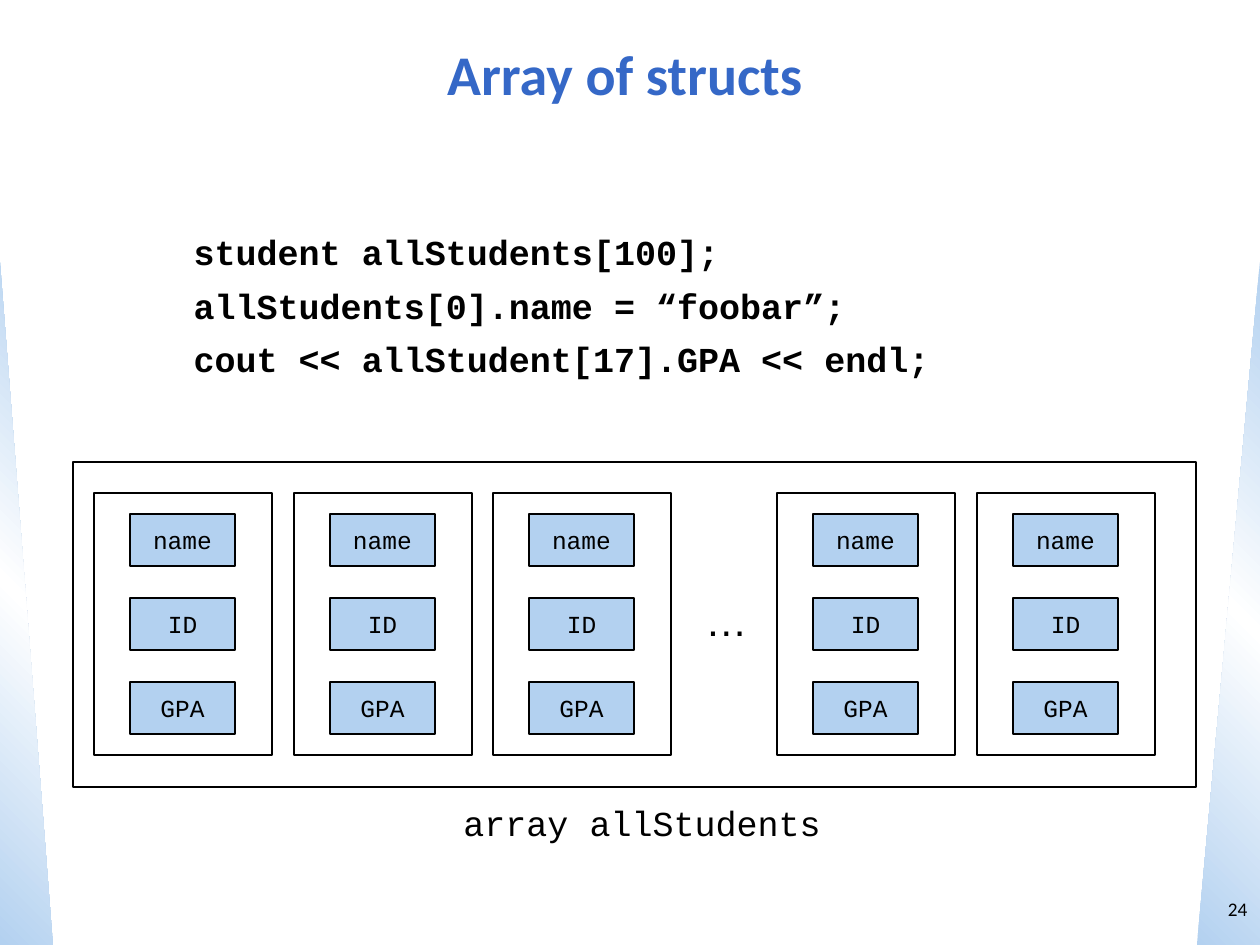
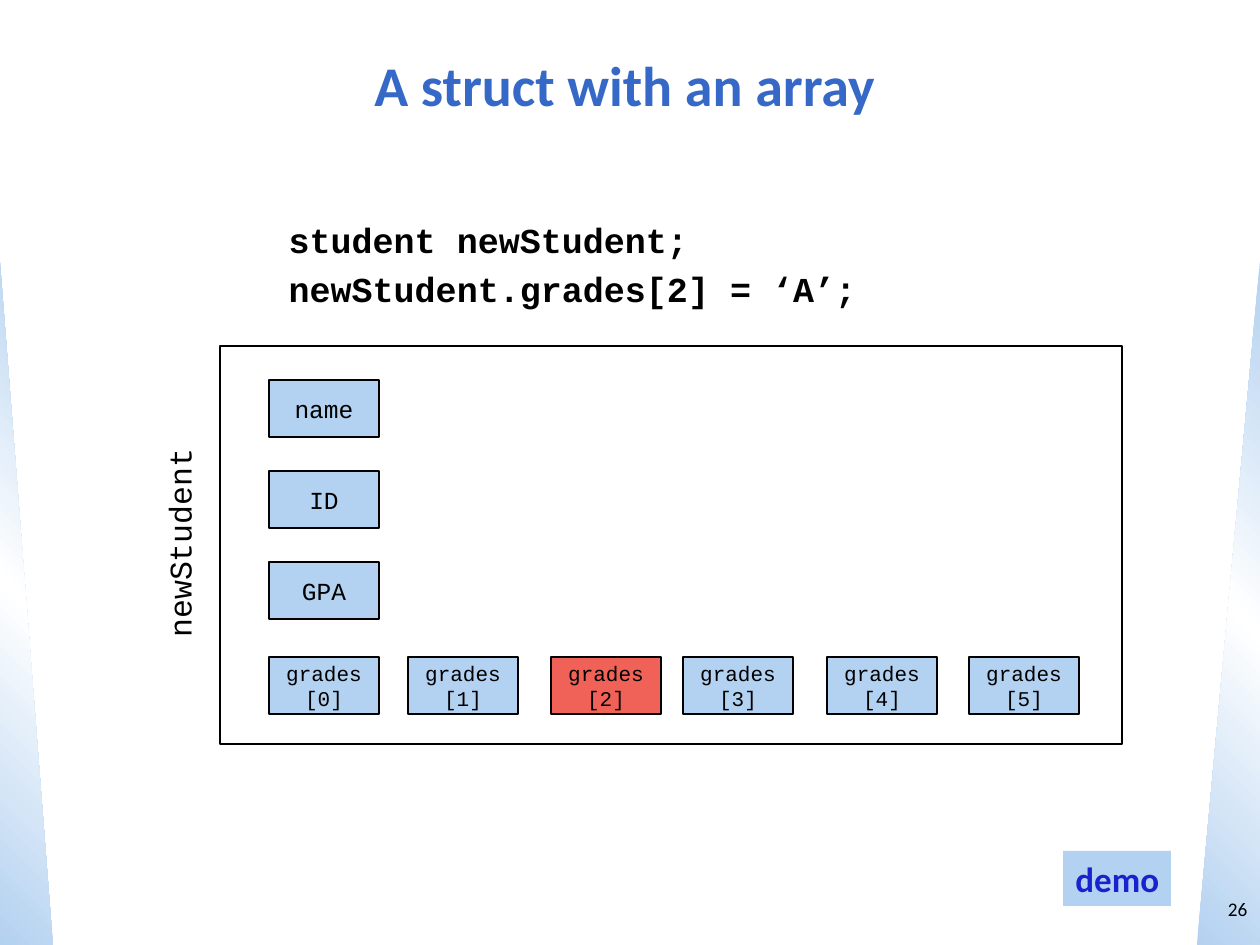
from lxml import etree
from pptx import Presentation
from pptx.dml.color import RGBColor
from pptx.enum.shapes import MSO_SHAPE
from pptx.enum.text import MSO_ANCHOR, MSO_AUTO_SIZE, PP_ALIGN
from pptx.oxml import parse_xml
from pptx.oxml.ns import nsdecls, qn
from pptx.util import Pt

RECTANGLE = MSO_SHAPE.RECTANGLE
ROUNDED = MSO_SHAPE.ROUNDED_RECTANGLE
TRIANGLE = MSO_SHAPE.RIGHT_TRIANGLE
LEFT, CENTER, RIGHT = PP_ALIGN.LEFT, PP_ALIGN.CENTER, PP_ALIGN.RIGHT
TOP, MIDDLE = MSO_ANCHOR.TOP, MSO_ANCHOR.MIDDLE
NO_AUTOFIT = MSO_AUTO_SIZE.NONE

SCALE = 914400 / 126  # EMU per px
BLACK, WHITE = "000000", "FFFFFF"
PALE_BLUE, TITLE_BLUE, LINK_BLUE = "B3D1F0", "3568C7", "1822CD"
HIGHLIGHT_RED = "F06157"
SANS, MONO = "Calibri", "Courier New"
FIELDS = ["name", "ID", "GPA"]


def px(length):
    return round(length * SCALE)


def color(hex_string):
    return RGBColor.from_string(hex_string)


def place(shape, left, top, width, height):
    shape.left, shape.top = px(left), px(top)
    shape.width, shape.height = px(width), px(height)


def write(shape, text, font=MONO, size=14, ink=BLACK, bold=False, align=LEFT,
          anchor=TOP, wrap=True, space_before=0, bullets_off=False):
    """Fill a shape with text, one paragraph for each line."""
    frame = shape.text_frame
    frame.text = text
    frame.word_wrap = wrap
    frame.auto_size = NO_AUTOFIT
    frame.vertical_anchor = anchor
    for index, paragraph in enumerate(frame.paragraphs):
        if bullets_off:
            properties = paragraph._p.get_or_add_pPr()
            properties.set("marL", "0")
            properties.set("indent", "0")
            etree.SubElement(properties, qn("a:buNone"))
        paragraph.alignment = align
        paragraph.space_before = Pt(space_before if index else 0)
        paragraph.font.name = font
        paragraph.font.size = Pt(size)
        paragraph.font.bold = bold
        paragraph.font.color.rgb = color(ink)


def add_box(slide, left, top, width, height, kind=RECTANGLE, fill=None, line=None):
    shape = slide.shapes.add_shape(kind, px(left), px(top), px(width), px(height))
    shape.shadow.inherit = False
    if fill:
        shape.fill.solid()
        shape.fill.fore_color.rgb = color(fill)
    else:
        shape.fill.background()
    if line:
        shape.line.color.rgb = color(BLACK)
        shape.line.width = Pt(line)
    else:
        shape.line.fill.background()
    return shape


def add_label(slide, text, left, top, width, height, **text_format):
    label = slide.shapes.add_textbox(px(left), px(top), px(width), px(height))
    write(label, text, **text_format)
    return label


def add_field(slide, text, left, top, width, height, size=14, fill=PALE_BLUE):
    field = add_box(slide, left, top, width, height, fill=fill, line=0.75)
    write(field, text, size=size, align=CENTER, anchor=MIDDLE)


def add_frame(slide, left, top, width, height):
    frame = add_box(slide, left, top, width, height, kind=ROUNDED, line=1.25)
    frame.adjustments[0] = 0


def set_band_gradient(shape, angle):
    stops = "".join(
        f'<a:gs pos="{position * 1000}"><a:srgbClr val="{stop}"/></a:gs>'
        for position, stop in [(0, PALE_BLUE), (50, WHITE), (100, PALE_BLUE)])
    gradient = parse_xml(
        f'<a:gradFill {nsdecls("a")} rotWithShape="1"><a:gsLst>{stops}</a:gsLst>'
        f'<a:lin ang="{angle * 60000}" scaled="0"/></a:gradFill>')
    properties = shape._element.spPr
    properties.replace(properties.find(qn("a:noFill")), gradient)


def add_side_bands(slide):
    """Put the two side bands on the layout that all slides use."""
    layout = slide.slide_layout
    for placeholder in list(layout.placeholders)[2:]:
        layout.shapes.element.remove(placeholder.element)
    left_band = add_box(slide, 0, 262, 53, 683, kind=TRIANGLE)
    right_band = add_box(slide, 1197, 262, 63, 683, kind=TRIANGLE)
    right_band._element.spPr.find(qn("a:xfrm")).set("flipH", "1")
    for band, angle in [(left_band, 315), (right_band, 45)]:
        set_band_gradient(band, angle)
        layout.shapes.element.append(band.element)


def add_slide(presentation, title, title_top, number):
    slide = presentation.slides.add_slide(presentation.slide_layouts[1])
    if len(presentation.slides) == 1:
        add_side_bands(slide)
    place(slide.shapes.title, 32, title_top, 1186, 105)
    write(slide.shapes.title, title, font=SANS, size=32, ink=TITLE_BLUE,
          bold=True, align=CENTER, anchor=MIDDLE)
    add_label(slide, number, 1197, 872, 63, 73, font=SANS, size=11,
              align=RIGHT, anchor=MIDDLE)
    return slide


def add_code(slide, lines, left, top, width, height, space_before):
    body = slide.placeholders[1]
    place(body, left, top, width, height)
    write(body, "\n".join(lines), size=20, bold=True,
          space_before=space_before, bullets_off=True)


def build_array_of_structs(presentation):
    slide = add_slide(presentation, "Array of structs", 21, "24")
    add_code(slide, ["student allStudents[100];",
                     "allStudents[0].name = “foobar”;",
                     "cout << allStudent[17].GPA << endl;"],
             181, 224, 1000, 170, space_before=6.7)

    # One struct for each shown array element
    for struct_left in (94, 294, 493, 777, 977):
        add_box(slide, struct_left, 493, 178, 262, line=1.25)
        for row, name in enumerate(FIELDS):
            add_field(slide, name, struct_left + 36, 514 + 84 * row, 105, 52)
    add_label(slide, "…", 693, 588, 67, 63, font="Arial", size=24, wrap=False)

    # The array around them
    add_frame(slide, 73, 462, 1123, 325)
    add_label(slide, "array allStudents", 451, 795, 383, 55, size=20, wrap=False)


def build_struct_with_array(presentation):
    slide = add_slide(presentation, "A struct with an array", 32, "26")
    add_code(slide, ["student newStudent;", "newStudent.grades[2] = ‘A’;"],
             276, 212, 900, 110, space_before=4.3)

    # Single fields, then the row of grades
    for row, name in enumerate(FIELDS):
        add_field(slide, name, 269, 380 + 91 * row, 110, 57)
    for index, left in enumerate((269, 408, 551, 683, 827, 969)):
        add_field(slide, f"grades[{index}]", left, 657, 110, 57, size=12,
                  fill=HIGHLIGHT_RED if index == 2 else PALE_BLUE)

    # The struct around them
    add_frame(slide, 220, 346, 902, 398)
    struct_label = add_label(slide, "newStudent", 72, 518, 214, 50, size=18, wrap=False)
    struct_label.rotation = 270

    demo = add_box(slide, 1063, 851, 108, 55, fill=PALE_BLUE)
    write(demo, "demo", font=SANS, size=20, ink=LINK_BLUE, bold=True, wrap=False)


def main():
    presentation = Presentation()
    presentation.slide_width, presentation.slide_height = px(1260), px(945)
    build_array_of_structs(presentation)
    build_struct_with_array(presentation)
    presentation.save("out.pptx")


if __name__ == "__main__":
    main()
